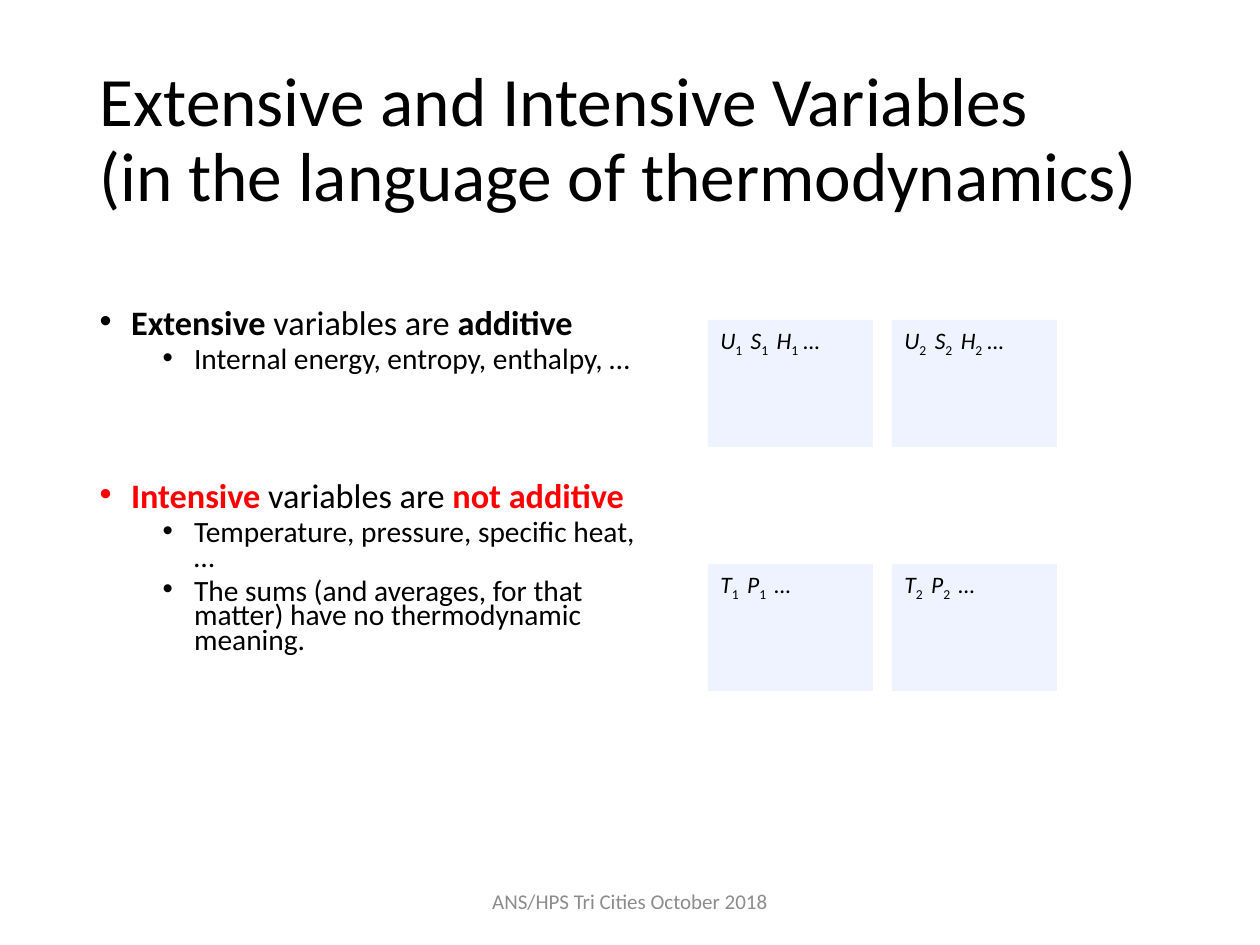
import pptx
import pptx.dml.color
import pptx.enum.shapes
import pptx.enum.text
import pptx.oxml.ns
import pptx.util
from lxml import etree

PX_PER_INCH = 126
FONT = "Calibri"
BLACK = pptx.dml.color.RGBColor(0x00, 0x00, 0x00)
RED = pptx.dml.color.RGBColor(0xFF, 0x00, 0x00)
GRAY = pptx.dml.color.RGBColor(0x8C, 0x8C, 0x8C)
BLUE = pptx.dml.color.RGBColor(0x66, 0x99, 0xFF)
ALIGN = pptx.enum.text.PP_ALIGN
ANCHOR = pptx.enum.text.MSO_ANCHOR


def px(length):
    return round(length * pptx.util.Inches(1) / PX_PER_INCH)


def place(shape, left, top, width, height):
    shape.left, shape.top = px(left), px(top)
    shape.width, shape.height = px(width), px(height)


def set_font(paragraph, size, color=BLACK):
    paragraph.font.name = FONT
    paragraph.font.size = pptx.util.Pt(size)
    paragraph.font.color.rgb = color


def add_child(parent, tag, **attributes):
    return etree.SubElement(parent, pptx.oxml.ns.qn(tag), **attributes)


def add_title(slide, lines):
    title = slide.shapes.title
    place(title, 87, 50, 1086, 183)
    frame = title.text_frame
    frame.auto_size = pptx.enum.text.MSO_AUTO_SIZE.NONE
    frame.vertical_anchor = ANCHOR.MIDDLE
    paragraph = frame.paragraphs[0]
    paragraph.text = "\v".join(lines)
    paragraph.alignment = ALIGN.LEFT
    paragraph.line_spacing = 0.9
    set_font(paragraph, 39.6)


def add_bullet(paragraph, level, runs, space_before):
    """Fill a bulleted paragraph from (text, bold, color) runs."""
    paragraph.level = level
    paragraph.line_spacing = 0.7
    paragraph.space_before = pptx.util.Pt(space_before)
    properties = paragraph._p.get_or_add_pPr()
    properties.set("marL", str(pptx.util.Inches(0.25 + 0.5 * level)))
    properties.set("indent", str(pptx.util.Inches(-0.25)))
    add_child(properties, "a:buFont", typeface="Arial")
    add_child(properties, "a:buChar", char="•")
    set_font(paragraph, 16.8 if level else 19.6)
    for text, bold, color in runs:
        run = paragraph.add_run()
        run.text = text
        run.font.bold = bold
        run.font.color.rgb = color


def add_bullet_list(slide, items):
    body = slide.placeholders[1]
    place(body, 87, 306, 581, 450)
    frame = body.text_frame
    frame.auto_size = pptx.enum.text.MSO_AUTO_SIZE.NONE
    for index, item in enumerate(items):
        paragraph = frame.add_paragraph() if index else frame.paragraphs[0]
        add_bullet(paragraph, *item)


def add_system_box(slide, left, top, symbols, number):
    """Draw one system, listing its variables with the system number as subscript."""
    box = slide.shapes.add_shape(
        pptx.enum.shapes.MSO_SHAPE.RECTANGLE, px(left), px(top), px(165), px(127))
    box.shadow.inherit = False
    box.line.fill.background()
    box.fill.solid()
    box.fill.fore_color.rgb = BLUE
    color = box.fill._xPr.find(".//" + pptx.oxml.ns.qn("a:srgbClr"))
    add_child(color, "a:alpha", val="11000")
    frame = box.text_frame
    frame.word_wrap = True
    frame.vertical_anchor = ANCHOR.TOP
    paragraph = frame.paragraphs[0]
    paragraph.alignment = ALIGN.LEFT
    set_font(paragraph, 13.5)
    for symbol, gap in symbols:
        add_variable_run(paragraph, symbol)
        add_variable_run(paragraph, f"{number}{gap}", subscript=True)
    add_variable_run(paragraph, " …")


def add_variable_run(paragraph, text, subscript=False):
    run = paragraph.add_run()
    run.text = text
    run.font.italic = not subscript
    run.font.color.rgb = BLACK
    if subscript:
        run._r.get_or_add_rPr().set("baseline", "-25000")


def add_footer(slide, text):
    footer = slide.shapes.add_textbox(px(417), px(876), px(426), px(50))
    frame = footer.text_frame
    frame.word_wrap = True
    frame.vertical_anchor = ANCHOR.MIDDLE
    paragraph = frame.paragraphs[0]
    paragraph.text = text
    paragraph.alignment = ALIGN.CENTER
    set_font(paragraph, 12, GRAY)


def main():
    presentation = pptx.Presentation()
    presentation.slide_width = pptx.util.Inches(10)
    presentation.slide_height = pptx.util.Inches(7.5)
    slide = presentation.slides.add_slide(presentation.slide_layouts[1])

    add_title(slide, ("Extensive and Intensive Variables",
                      "(in the language of thermodynamics)"))
    add_bullet_list(slide, (
        (0, (("Extensive", True, BLACK), (" variables are ", False, BLACK),
             ("additive", True, BLACK)), 0),
        (1, (("Internal energy, entropy, enthalpy, …", False, BLACK),), 5),
        (0, (("Intensive", True, RED), (" variables are ", False, BLACK),
             ("not additive", True, RED)), 63.5),
        (1, (("Temperature, pressure, specific heat, …", False, BLACK),), 5),
        (1, (("The sums (and averages, for that matter) have no "
              "thermodynamic meaning.", False, BLACK),), 5),
    ))

    variable_rows = (
        (320, (("U", " "), (" S", " "), (" H", ""))),
        (564, (("T", " "), (" P", " "))),
    )
    for top, symbols in variable_rows:
        for number, left in enumerate((708, 892), start=1):
            add_system_box(slide, left, top, symbols, number)

    add_footer(slide, "ANS/HPS Tri Cities October 2018")
    presentation.save("out.pptx")


if __name__ == "__main__":
    main()
